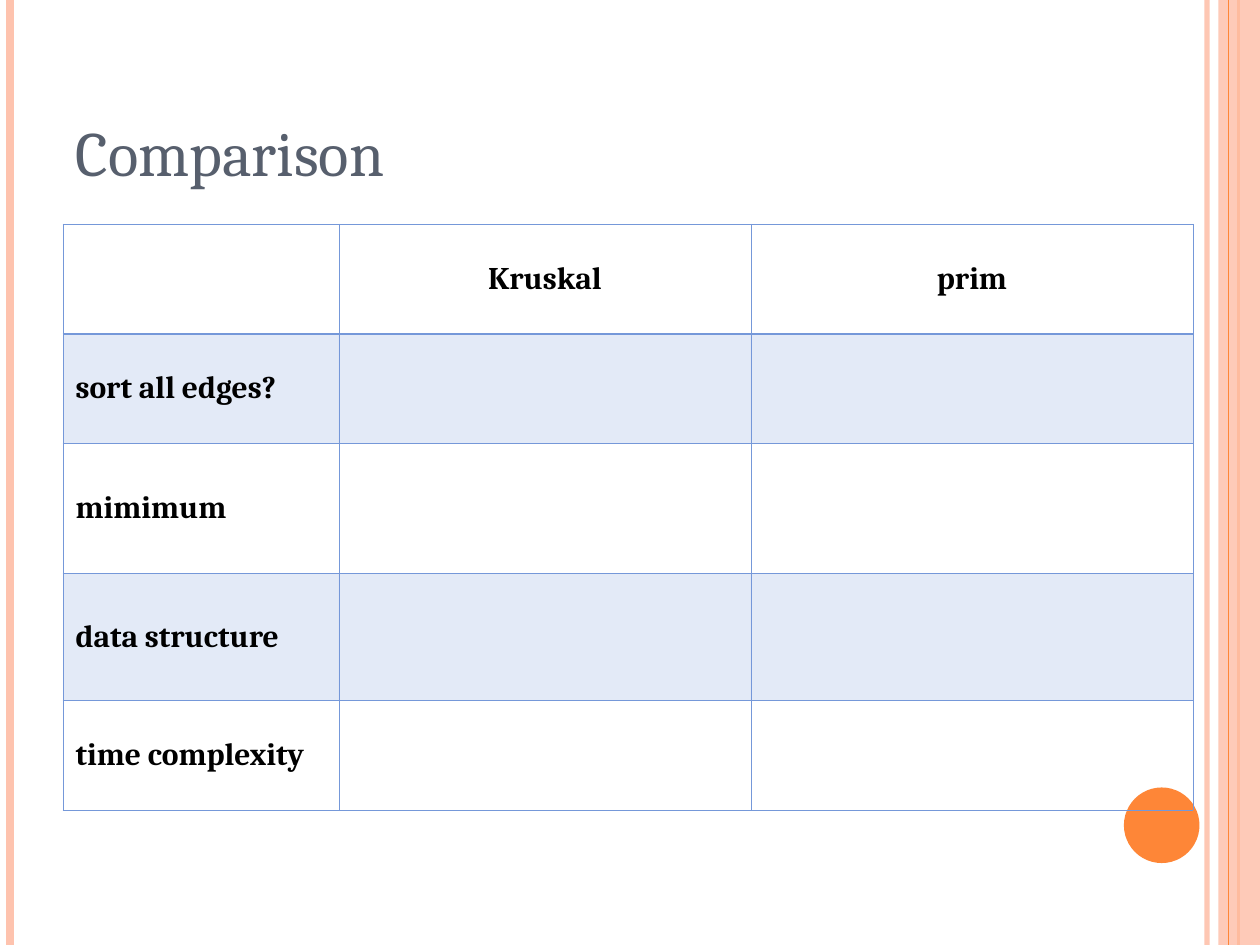
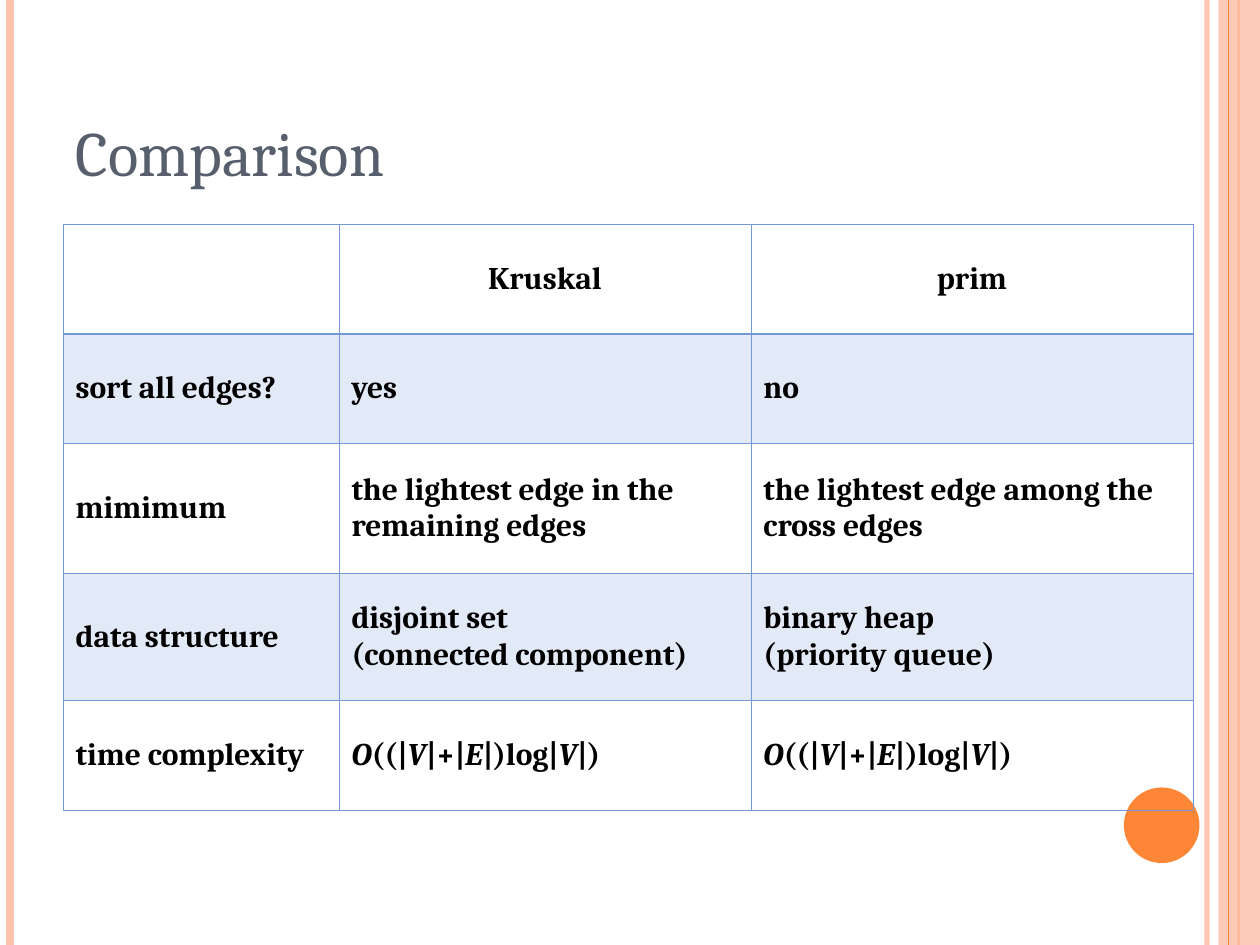
import pptx
import pptx.util
import pptx.dml.color
import pptx.enum.shapes
import pptx.enum.text
import pptx.oxml
import pptx.oxml.ns
from dataclasses import dataclass

Inches = pptx.util.Inches
Pt = pptx.util.Pt
Shape = pptx.enum.shapes.MSO_SHAPE
Align = pptx.enum.text.PP_ALIGN
Anchor = pptx.enum.text.MSO_ANCHOR
NS = pptx.oxml.ns.nsdecls("a")


@dataclass(frozen=True)
class Theme:
    font: str = "Cambria"
    peach: str = "FEC3AE"
    orange: str = "FE8637"
    slate: str = "575F6D"
    blue: str = "7598D9"
    black: str = "000000"
    head: float = 36
    body: float = 18
    thin: float = 0.45
    thick: float = 0.96


def apply(obj, form):
    for name, value in form.items():
        setattr(obj, name, value)


def paint(fill, node, color, alpha=100):
    """Fill with a colour; node is the XML element that holds the fill."""
    fill.solid()
    fill.fore_color.rgb = pptx.dml.color.RGBColor.from_string(color)
    if alpha < 100:
        tone = node.find(".//" + pptx.oxml.ns.qn("a:srgbClr"))
        tone.append(pptx.oxml.parse_xml(f'<a:alpha {NS} val="{alpha * 1000}"/>'))


class Deck:
    def __init__(self, theme):
        self.theme = theme
        self.show = pptx.Presentation()
        apply(self.show, {"slide_width": Inches(10), "slide_height": Inches(7.5)})
        self.slide = None

    def page(self):
        """Start a slide with the shared bands and dot."""
        t = self.theme
        self.slide = self.show.slides.add_slide(self.show.slide_layouts[6])
        self.rule(9.58, t.peach, 3, 93)
        self.rule(0.08, t.peach, 4.5)
        self.rule(9.83, t.orange, 1.5)
        self.shape(Shape.RECTANGLE, (9.67, 0, 0.33, 7.5), t.peach, 87)
        self.rule(9.75, t.orange, 0.75)
        self.shape(Shape.OVAL, (8.92, 6.25, 0.6, 0.6), t.orange)

    def rule(self, x, color, width, alpha=100):
        """Draw a full-height vertical line."""
        line = self.slide.shapes.add_connector(
            pptx.enum.shapes.MSO_CONNECTOR.STRAIGHT,
            Inches(x), 0, Inches(x), self.show.slide_height)
        props = line.element.spPr
        paint(line.line.fill, props, color, alpha)
        line.line.width = Pt(width)
        props.append(pptx.oxml.parse_xml(f"<a:effectLst {NS}/>"))

    def shape(self, kind, box, color, alpha=100):
        item = self.slide.shapes.add_shape(kind, *map(Inches, box))
        item.shadow.inherit = False
        paint(item.fill, item.element.spPr, color, alpha)
        item.line.fill.background()

    def text(self, frame, words, size, color, bold=False, align=Align.LEFT):
        """Fill a frame: newlines part paragraphs, asterisks wrap italics."""
        for i, line in enumerate(words.split("\n")):
            para = frame.paragraphs[0] if i == 0 else frame.add_paragraph()
            para.alignment = align
            for j, part in enumerate(line.split("*")):
                if not part:
                    continue
                run = para.add_run()
                run.text = part
                apply(run.font, {"name": self.theme.font, "size": Pt(size),
                                 "bold": bold, "italic": j % 2 == 1})
                run.font.color.rgb = pptx.dml.color.RGBColor.from_string(color)

    def title(self, words):
        box = self.slide.shapes.add_textbox(*map(Inches, (0.5, 0.3, 8.17, 1.25)))
        apply(box.text_frame, {"word_wrap": True,
                               "vertical_anchor": Anchor.BOTTOM})
        self.text(box.text_frame, words, self.theme.head, self.theme.slate)

    def edges(self, cell, widths):
        """Set the left, right, top and bottom borders of a cell."""
        props = cell._tc.get_or_add_tcPr()
        for i, (side, width) in enumerate(zip("LRTB", widths)):
            props.insert(i, pptx.oxml.parse_xml(
                f'<a:ln{side} {NS} w="{Pt(width)}"><a:solidFill>'
                f'<a:srgbClr val="{self.theme.blue}"/></a:solidFill></a:ln{side}>'))

    def table(self, spot, cols, rows, data):
        t = self.theme
        size = (sum(cols), sum(rows))
        grid = self.slide.shapes.add_table(
            len(rows), len(cols), *map(Inches, spot + size)).table
        apply(grid, {"first_row": False, "horz_banding": False})
        for col, width in zip(grid.columns, cols):
            col.width = Inches(width)
        for row, height in zip(grid.rows, rows):
            row.height = Inches(height)
        for r, line in enumerate(data):
            for c, words in enumerate(line):
                cell = grid.cell(r, c)
                cell.vertical_anchor = Anchor.MIDDLE
                align = Align.CENTER if r == 0 else Align.LEFT
                self.text(cell.text_frame, words, t.body, t.black, True, align)
                if r % 2:
                    paint(cell.fill, cell._tc.get_or_add_tcPr(), t.blue, 20)
                else:
                    cell.fill.background()
                # The line under the header row is heavier
                top = t.thick if r == 1 else t.thin
                base = t.thick if r == 0 else t.thin
                self.edges(cell, (t.thin, t.thin, top, base))


HEADS = ("", "Kruskal", "prim")
COST = "*O*((|*V*|+|*E*|)log|*V*|)"
FACTS = (
    ("sort all edges?", "yes", "no"),
    ("mimimum", "the lightest edge in the remaining edges",
     "the lightest edge among the cross edges"),
    ("data structure", "disjoint set\n(connected component)",
     "binary heap\n(priority queue)"),
    ("time complexity", COST, COST),
)


def main():
    deck = Deck(Theme())
    # First the questions alone, then with their answers
    blank = [(fact[0], "", "") for fact in FACTS]
    for body in (blank, FACTS):
        deck.page()
        deck.title("Comparison")
        deck.table((0.5, 1.78), (2.19, 3.27, 3.51),
                   (0.87, 0.87, 1.03, 1.01, 0.87), [HEADS, *body])
    deck.show.save("out.pptx")


if __name__ == "__main__":
    main()
